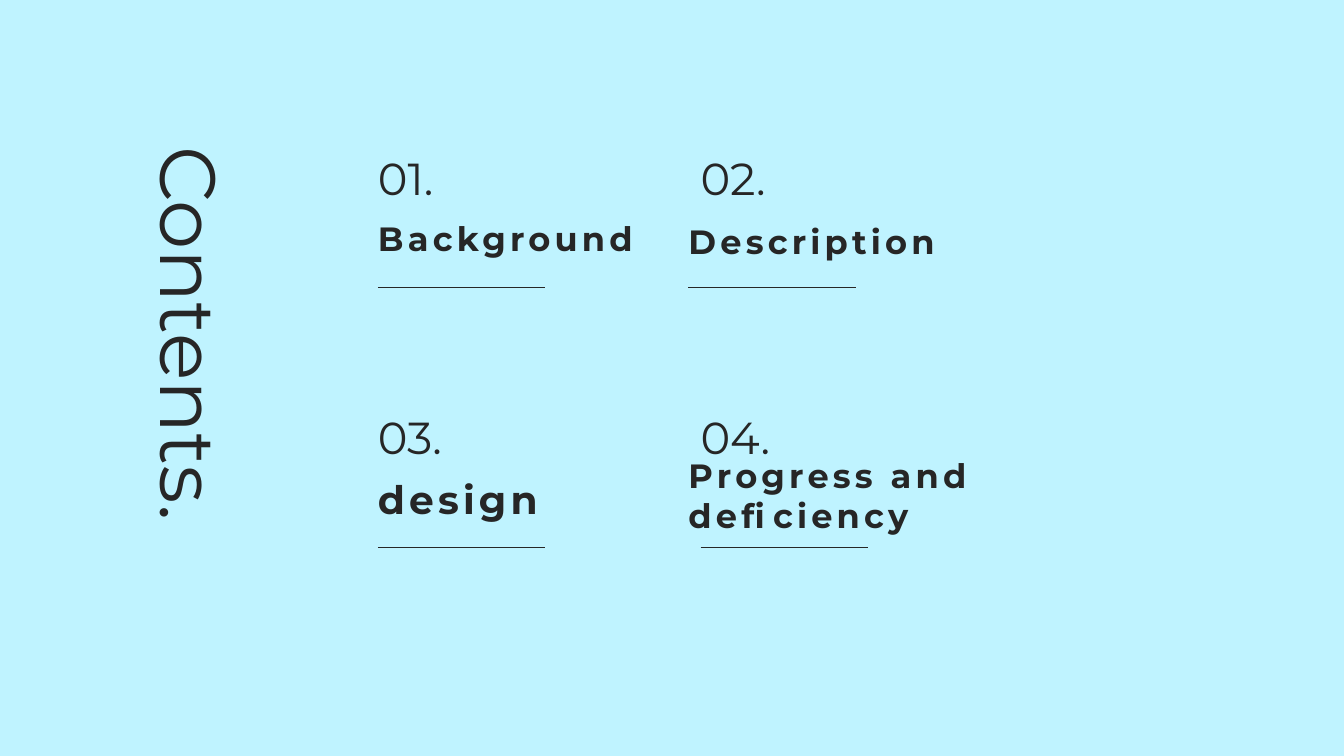
"""Contents slide with a vertical title and four numbered topics."""
from dataclasses import dataclass
from pptx import Presentation
from pptx.dml.color import RGBColor as RGB
from pptx.enum.shapes import MSO_CONNECTOR as LINE
from pptx.enum.text import MSO_ANCHOR as ANCHOR, PP_ALIGN as ALIGN
from pptx.oxml.ns import qn
from pptx.util import Pt
from lxml.etree import SubElement

TITLE = "Contents."
TOPICS = [
    {"num": "01.", "name": "Background", "size": 24, "base": 188, "wide": 198},
    {"num": "02.", "name": "Description", "size": 24, "base": 190, "wide": 194.4},
    {"num": "03.", "name": "design", "size": 28, "base": 376.6, "wide": 175.7},
    {"num": "04.", "name": "Progress and deficiency", "size": 24, "base": 386, "wide": 225.4},
]
COLS = [270, 491.8]
ROWS = [103, 288]
RULES = [205.2, 391]
NUDGE = 8.6
RULE_W = 119.5
NUM_BOX = (59.8, 43.2)
NAME_H = 44
TITLE_BOX = (96.5, 104.4, 80.6, 274)


@dataclass(frozen=True)
class Theme:
    back: RGB = RGB(0xBF, 0xF3, 0xFF)
    ink: RGB = RGB(0x26, 0x26, 0x26)
    font: str = "Montserrat"
    title: int = 56
    num: int = 32
    space: int = 300
    rule: float = 0.5


THEME = Theme()


def add_text(slide, box, text, size, bold=False, foot=0):
    frame = slide.shapes.add_textbox(*map(Pt, box)).text_frame
    frame.word_wrap = True
    frame.vertical_anchor = ANCHOR.BOTTOM
    frame.margin_left = frame.margin_top = frame.margin_right = 0
    frame.margin_bottom = Pt(foot)
    run = frame.paragraphs[0].add_run()
    run.text = text
    font = run.font
    font.name, font.size, font.bold = THEME.font, Pt(size), bold
    font.color.rgb = THEME.ink
    if bold:
        run._r.get_or_add_rPr().set("spc", str(THEME.space))
    return frame


def add_rule(slide, left, top):
    ends = map(Pt, (left, top, left + RULE_W, top))
    rule = slide.shapes.add_connector(LINE.STRAIGHT, *ends)
    rule.line.color.rgb = THEME.ink
    rule.line.width = Pt(THEME.rule)
    SubElement(rule._element.spPr, qn("a:effectLst"))


def add_title(slide):
    frame = add_text(slide, TITLE_BOX, TITLE, THEME.title)
    frame.vertical_anchor = ANCHOR.MIDDLE
    frame.paragraphs[0].alignment = ALIGN.CENTER
    frame._txBody.bodyPr.set("vert", "eaVert")


def add_topic(slide, spot, topic):
    row, col = divmod(spot, len(COLS))
    left = COLS[col]
    num_x = left + NUDGE * col
    add_text(slide, (num_x, ROWS[row], *NUM_BOX), topic["num"], THEME.num)
    box = (left, topic["base"] - NAME_H, topic["wide"], NAME_H)
    add_text(slide, box, topic["name"], topic["size"], True, 3.6)
    add_rule(slide, num_x if row else left, RULES[row])


def main():
    deck = Presentation()
    deck.slide_width, deck.slide_height = Pt(960), Pt(540)
    slide = deck.slides.add_slide(deck.slide_layouts[6])
    fill = slide.background.fill
    fill.solid()
    fill.fore_color.rgb = THEME.back
    for spot, topic in enumerate(TOPICS):
        add_topic(slide, spot, topic)
    add_title(slide)
    deck.save("out.pptx")


if __name__ == "__main__":
    main()
